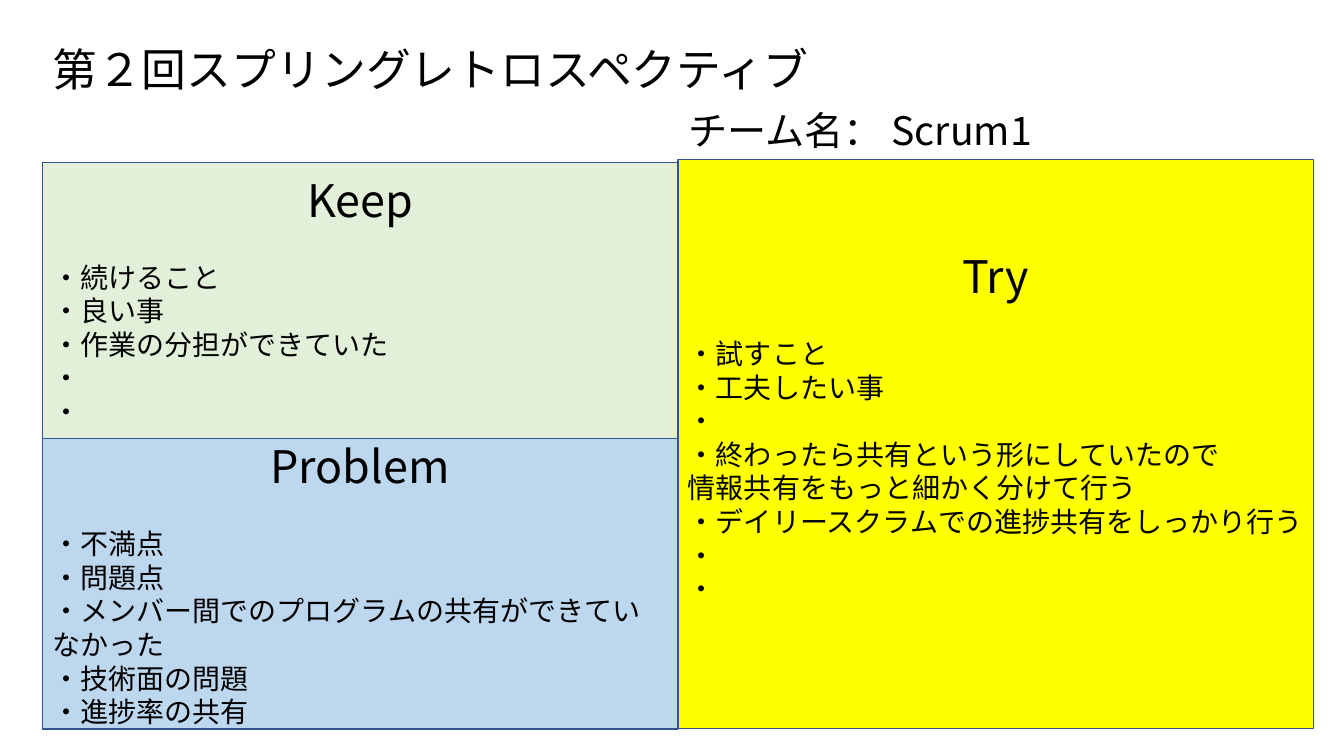
from dataclasses import dataclass

from lxml import etree
from pptx import Presentation
from pptx.dml.color import RGBColor
from pptx.enum import shapes, text
from pptx.oxml import ns
from pptx.util import Pt


@dataclass(frozen=True)
class Theme:
    font: str = "Noto Sans CJK JP"
    ink: str = "000000"
    edge: str = "325491"
    keep: str = "E2F0D9"
    problem: str = "BDD7EE"
    try_: str = "FFFF00"
    head: int = 32
    team: int = 28
    body: int = 20
    lead: float = 1.2


THEME = Theme()


def color(code):
    return RGBColor.from_string(code)


def style(para, size, align=text.PP_ALIGN.LEFT):
    font = para.font
    font.name = THEME.font
    font.size = Pt(size)
    font.color.rgb = color(THEME.ink)
    east = etree.SubElement(font._element, ns.qn("a:ea"))
    east.set("typeface", THEME.font)
    para.alignment = align
    para.line_spacing = Pt(size * THEME.lead)


def label(slide, box, words, size, anchor):
    frame = slide.shapes.add_textbox(*map(Pt, box)).text_frame
    frame.word_wrap = True
    frame.vertical_anchor = anchor
    para = frame.paragraphs[0]
    para.text = words
    style(para, size)


def panel(slide, box, fill, title, items, foot=0):
    shape = slide.shapes.add_shape(shapes.MSO_SHAPE.RECTANGLE, *map(Pt, box))
    shape.shadow.inherit = False
    shape.fill.solid()
    shape.fill.fore_color.rgb = color(fill)
    shape.line.color.rgb = color(THEME.edge)
    shape.line.width = Pt(1)
    frame = shape.text_frame
    frame.word_wrap = True
    frame.vertical_anchor = text.MSO_ANCHOR.MIDDLE
    row = THEME.body * THEME.lead
    frame.margin_bottom = Pt(3.6 + foot * row)
    head = frame.paragraphs[0]
    head.text = title
    style(head, THEME.head, text.PP_ALIGN.CENTER)
    head.space_after = Pt(row)
    for item in items:
        para = frame.add_paragraph()
        para.text = item
        style(para, THEME.body)


def board(slide, box):
    left, top, width, height = box
    half = width / 2
    upper = 197.3
    rise = 2
    panel(slide, (left + half, top - rise, half, height + rise), THEME.try_, "Try", [
        "・試すこと",
        "・工夫したい事",
        "・",
        "・終わったら共有という形にしていたので",
        "情報共有をもっと細かく分けて行う",
        "・デイリースクラムでの進捗共有をしっかり行う",
        "・",
        "・",
    ], foot=1)
    panel(slide, (left, top, half, upper), THEME.keep, "Keep", [
        "・続けること",
        "・良い事",
        "・作業の分担ができていた",
        "・",
        "・",
    ])
    panel(slide, (left, top + upper, half, height - upper), THEME.problem, "Problem", [
        "・不満点",
        "・問題点",
        "・メンバー間でのプログラムの共有ができていなかった",
        "・技術面の問題",
        "・進捗率の共有",
    ])


def retro(deck):
    slide = deck.slides.add_slide(deck.slide_layouts[6])
    label(slide, (30.3, 19.4, 898.6, 59), "第２回スプリングレトロスペクティブ",
          THEME.head, text.MSO_ANCHOR.MIDDLE)
    board(slide, (30.3, 115.9, 908, 404.7))
    label(slide, (484.6, 72.7, 452.9, 41), "チーム名： Scrum1",
          THEME.team, text.MSO_ANCHOR.TOP)


deck = Presentation()
deck.slide_width = Pt(960)
deck.slide_height = Pt(540)
retro(deck)
deck.save("out.pptx")
